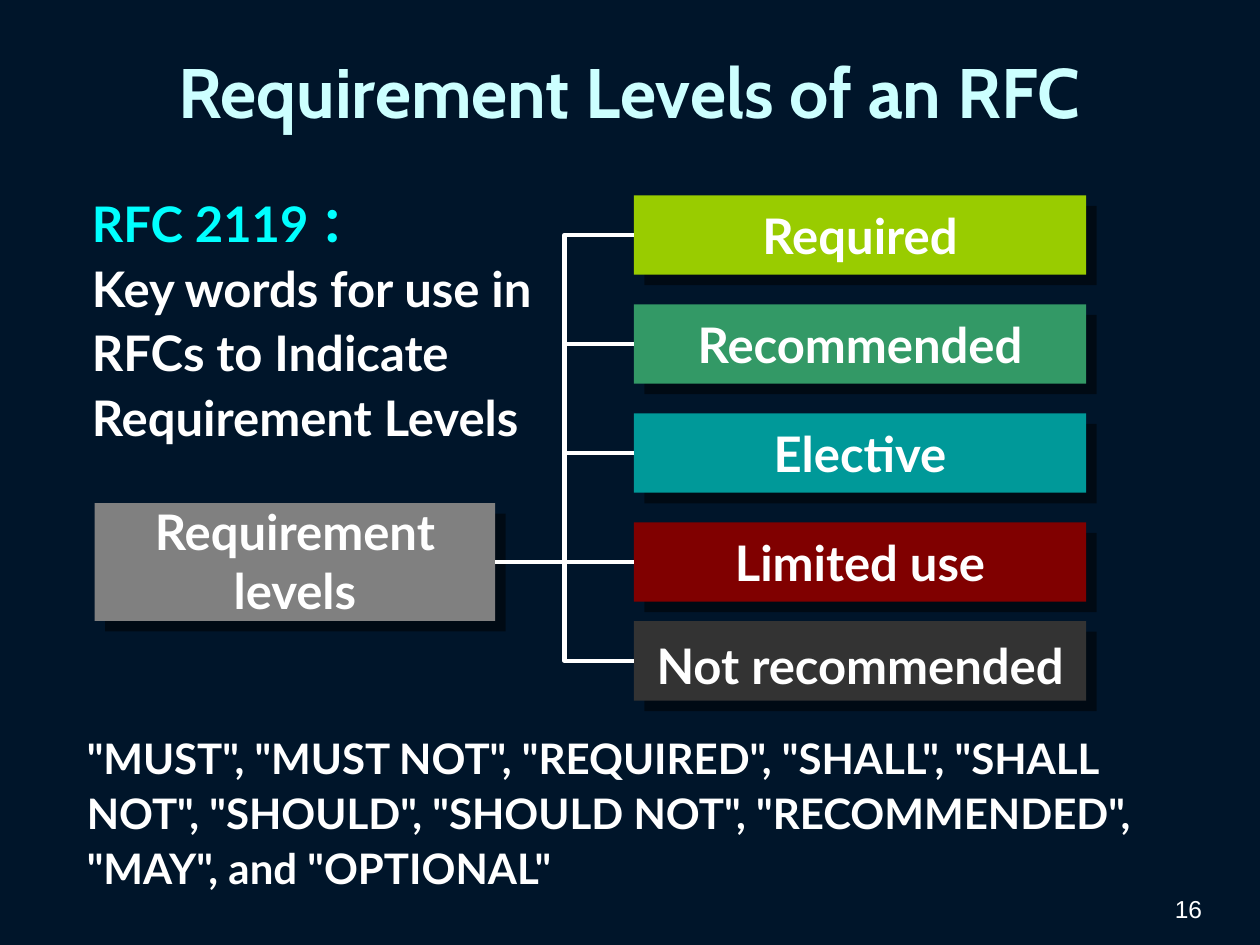
"""Build the slide on the requirement levels of an RFC."""
from dataclasses import dataclass
from lxml.etree import SubElement as Sub
from pptx import Presentation
from pptx.dml.color import RGBColor as Rgb
from pptx.enum.shapes import MSO_CONNECTOR as Link, MSO_SHAPE as Form
from pptx.enum.text import MSO_ANCHOR as Anchor, PP_ALIGN as Align
from pptx.oxml.ns import qn
from pptx.util import Pt


@dataclass(frozen=True)
class Theme:
    back: str = "00152A"
    ink: str = "FFFFFF"
    head: str = "CCFFFF"
    key: str = "00FFFF"
    root: str = "808080"
    body: str = "Lato"
    big: int = 40
    mid: int = 28
    note: int = 24
    page: int = 14


LOOK = Theme()
TITLE = "Requirement Levels of an RFC"
INTRO = ["RFC 2119 ：", "Key words for use in RFCs to Indicate Requirement Levels"]
WORDS = ('"MUST", "MUST NOT", "REQUIRED", "SHALL", "SHALL NOT", "SHOULD", '
         '"SHOULD NOT", "RECOMMENDED", "MAY", and "OPTIONAL"')
ROOT = "Requirement levels"
PAGE = "16"
LEVELS = [
    ("Required", "99CC00", 131),
    ("Recommended", "339966", 210),
    ("Elective", "009999", 114),
    ("Limited use", "800000", 166),
    ("Not recommended", "333333", 262),
]
LEFT, TOP, WIDE, HIGH, STEP = 362.2, 111.6, 258.5, 45.4, 62.3
LAST = 355
ROOT_BOX = (54, 287.5, 229, 67.4)
LINE = 33.6


def write(slide, box, lines, size, hues=(LOOK.ink,), font=LOOK.body, bold=True,
          align=Align.LEFT, anchor=Anchor.TOP, space=None, inset=True):
    item = slide.shapes.add_textbox(*map(Pt, box))
    frame = item.text_frame
    frame.word_wrap = True
    frame.vertical_anchor = anchor
    if not inset:
        frame.margin_left = frame.margin_right = 0
        frame.margin_top = frame.margin_bottom = 0
    frame.text = "\n".join(lines)
    for para, hue in zip(frame.paragraphs, hues):
        para.alignment = align
        para.line_spacing = space
        face = para.runs[0].font
        face.name, face.size, face.bold = font, Pt(size), bold
        face.color.rgb = Rgb.from_string(hue)


def label(slide, box, text, wide, rows=1, drop=0):
    x, y, w, h = box
    high = rows * LINE
    spot = (x + (w - wide) / 2, y + (h - high) / 2 + drop, wide, high)
    write(slide, spot, [text], LOOK.mid, align=Align.CENTER, inset=False)


def panel(slide, box, hue):
    item = slide.shapes.add_shape(Form.RECTANGLE, *map(Pt, box))
    item.fill.solid()
    item.fill.fore_color.rgb = Rgb.from_string(hue)
    item.line.fill.background()
    item.shadow.inherit = False
    glow = item._element.spPr.find(qn("a:effectLst"))
    cast = Sub(glow, qn("a:outerShdw"), dist=str(Pt(8.5)), dir="2700000",
               algn="ctr", rotWithShape="0")
    tone = Sub(cast, qn("a:srgbClr"), val="000000")
    Sub(tone, qn("a:alpha"), val="50000")
    return item


def join(slide, start, end):
    gap = (start.top + start.height / 2) - (end.top + end.height / 2)
    kind = Link.STRAIGHT if abs(gap) < Pt(1) else Link.ELBOW
    wire = slide.shapes.add_connector(kind, 0, 0, 0, 0)
    wire.begin_connect(start, 3)
    wire.end_connect(end, 1)
    wire.line.color.rgb = Rgb.from_string(LOOK.ink)
    wire.line.width = Pt(2.5)
    Sub(wire._element.spPr, qn("a:effectLst"))


def main():
    deck = Presentation()
    deck.slide_width, deck.slide_height = Pt(720), Pt(540)
    slide = deck.slides.add_slide(deck.slide_layouts[6])
    slide.background.fill.solid()
    slide.background.fill.fore_color.rgb = Rgb.from_string(LOOK.back)

    write(slide, (527, 497, 167, 34), [PAGE], LOOK.page, font="Arial",
          bold=False, align=Align.RIGHT, anchor=Anchor.BOTTOM)
    write(slide, (25, 9.4, 669, 85), [TITLE], LOOK.big, (LOOK.head,), "Cabin",
          align=Align.CENTER, anchor=Anchor.MIDDLE)

    tops = [TOP + STEP * i for i in range(len(LEVELS) - 1)] + [LAST]
    boxes = [(LEFT, top, WIDE, HIGH) for top in tops]
    root = panel(slide, ROOT_BOX, LOOK.root)
    leaves = [panel(slide, box, hue) for box, (_, hue, _) in zip(boxes, LEVELS)]
    for box, (text, _, wide) in zip(boxes, LEVELS):
        label(slide, box, text, wide, drop=2 if box[1] == LAST else 0)
    label(slide, ROOT_BOX, ROOT, 192, rows=2, drop=-1)
    for leaf in leaves:
        join(slide, root, leaf)

    write(slide, (42.5, 412, 635, 102), [WORDS], LOOK.note, space=1.1)
    write(slide, (45.4, 103.7, 286.6, 155.5), INTRO, LOOK.mid,
          (LOOK.key, LOOK.ink), space=1.1)
    deck.save("out.pptx")


if __name__ == "__main__":
    main()
